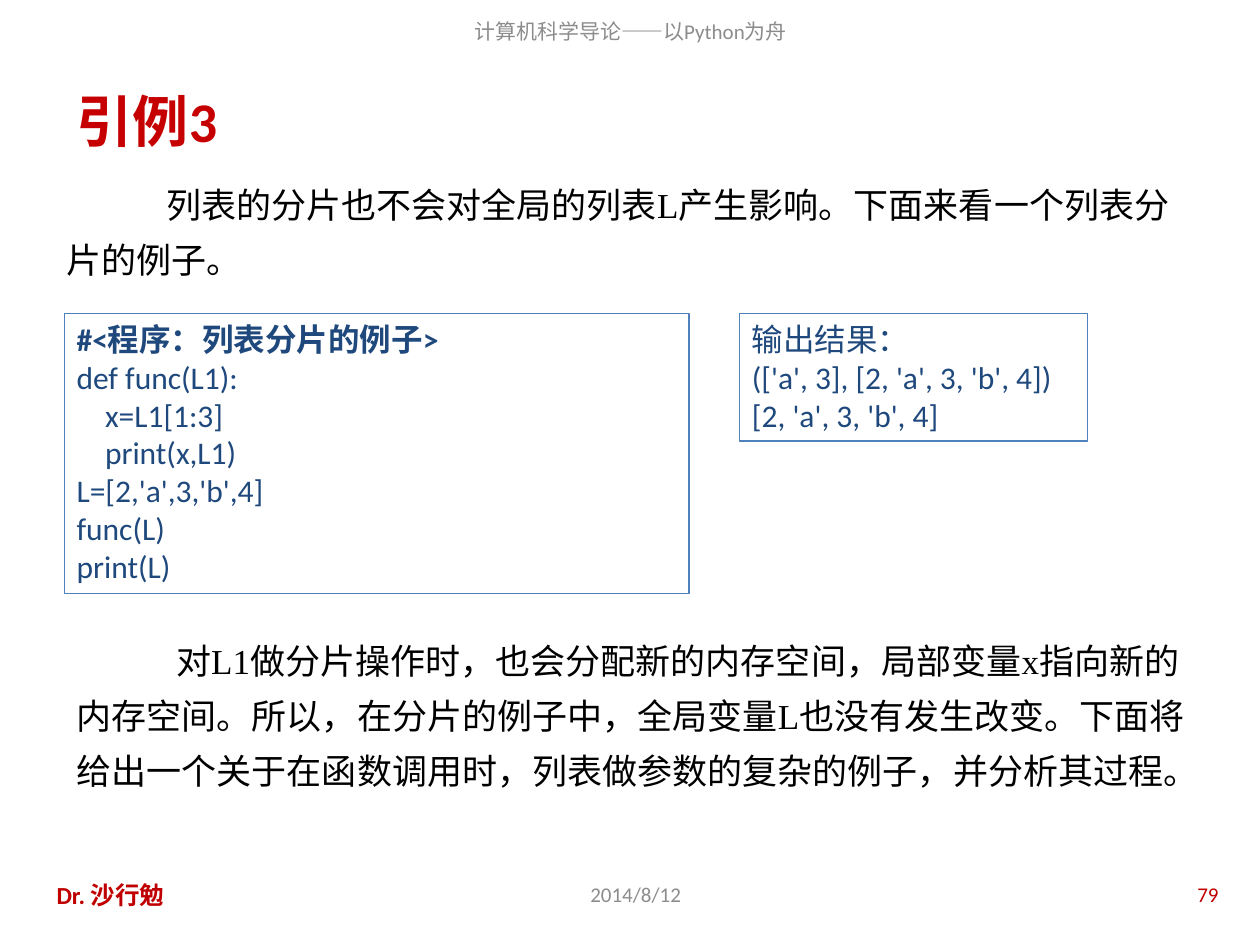
from dataclasses import dataclass

from pptx import Presentation
from pptx.dml.color import RGBColor
from pptx.enum.shapes import MSO_SHAPE
from pptx.enum.text import MSO_ANCHOR, PP_ALIGN
from pptx.util import Inches, Pt

RECTANGLE = MSO_SHAPE.RECTANGLE
TOP, MIDDLE = MSO_ANCHOR.TOP, MSO_ANCHOR.MIDDLE
LEFT, CENTER, RIGHT = PP_ALIGN.LEFT, PP_ALIGN.CENTER, PP_ALIGN.RIGHT


@dataclass(frozen=True)
class Theme:
    title: str = "C60000"
    accent: str = "C00000"
    muted: str = "8C8C8C"
    body: str = "000000"
    code: str = "1F497D"
    border: str = "4F81BD"
    sans: str = "Calibri"
    serif: str = "Times New Roman"
    title_size: int = 32
    body_size: int = 20
    code_size: int = 18
    author_size: int = 14
    small_size: int = 12


THEME = Theme()

PROGRAM = """#<程序：列表分片的例子>
def func(L1):
    x=L1[1:3]
    print(x,L1)
L=[2,'a',3,'b',4]
func(L)
print(L)"""

OUTPUT = """输出结果：
(['a', 3], [2, 'a', 3, 'b', 4])
[2, 'a', 3, 'b', 4]"""

INTRO = "列表的分片也不会对全局的列表L产生影响。下面来看一个列表分片的例子。"
SUMMARY = (
    "对L1做分片操作时，也会分配新的内存空间，局部变量x指向新的内存空间。"
    "所以，在分片的例子中，全局变量L也没有发生改变。"
    "下面将给出一个关于在函数调用时，列表做参数的复杂的例子，并分析其过程。"
)


def write(shape, text, *, size, color, font=THEME.sans, bold=False,
          bold_first=False, align=LEFT, anchor=TOP, spacing=None, indent=None):
    frame = shape.text_frame
    frame.word_wrap = True
    frame.vertical_anchor = anchor
    for index, line in enumerate(text.split("\n")):
        para = frame.add_paragraph() if index else frame.paragraphs[0]
        para.alignment = align
        if spacing:
            para.line_spacing = spacing
        if indent:
            properties = para._p.get_or_add_pPr()
            properties.set("marL", "0")
            properties.set("indent", str(indent))
        span = para.add_run()
        span.text = line
        span.font.name = font
        span.font.size = Pt(size)
        span.font.bold = bold or (bold_first and index == 0)
        span.font.color.rgb = RGBColor.from_string(color)


def add_label(page, box, text, **style):
    write(page.shapes.add_textbox(*map(Inches, box)), text, anchor=MIDDLE, **style)


def add_paragraph_block(page, box, text):
    write(page.shapes.add_textbox(*map(Inches, box)), text,
          size=THEME.body_size, color=THEME.body, font=THEME.serif,
          spacing=1.3, indent=Inches(0.79))


def add_code_panel(page, box, text, bold_first=False):
    panel = page.shapes.add_shape(RECTANGLE, *map(Inches, box))
    panel.shadow.inherit = False
    panel.fill.background()
    panel.line.color.rgb = RGBColor.from_string(THEME.border)
    panel.line.width = Pt(0.75)
    write(panel, text, size=THEME.code_size, color=THEME.code, bold_first=bold_first)


def add_footer(page, top, height):
    add_label(page, (3.35, top, 3.39, height), "2014/8/12",
              size=THEME.small_size, color=THEME.muted, align=CENTER)
    add_label(page, (0.35, top, 2.21, height), "Dr. 沙行勉",
              size=THEME.author_size, color=THEME.accent, bold=True)
    add_label(page, (7.44, top, 2.33, height), "79",
              size=THEME.small_size, color=THEME.accent, align=RIGHT)


def main():
    deck = Presentation()
    deck.slide_width, deck.slide_height = Inches(10), Inches(7.5)
    page = deck.slides.add_slide(deck.slide_layouts[6])
    add_label(page, (1.54, 0.05, 6.93, 0.39), "计算机科学导论——以Python为舟",
              size=THEME.small_size, color=THEME.muted, align=CENTER)
    add_label(page, (0.51, 0.6, 9, 0.7), "引例3",
              size=THEME.title_size, color=THEME.title, bold=True)
    add_footer(page, 6.9, 0.4)
    add_paragraph_block(page, (0.43, 1.31, 9, 0.94), INTRO)
    add_code_panel(page, (0.51, 2.49, 4.96, 2.22), PROGRAM, bold_first=True)
    add_code_panel(page, (5.87, 2.49, 2.76, 1.01), OUTPUT)
    add_paragraph_block(page, (0.51, 4.93, 9, 1.5), SUMMARY)
    deck.save("out.pptx")


if __name__ == "__main__":
    main()
